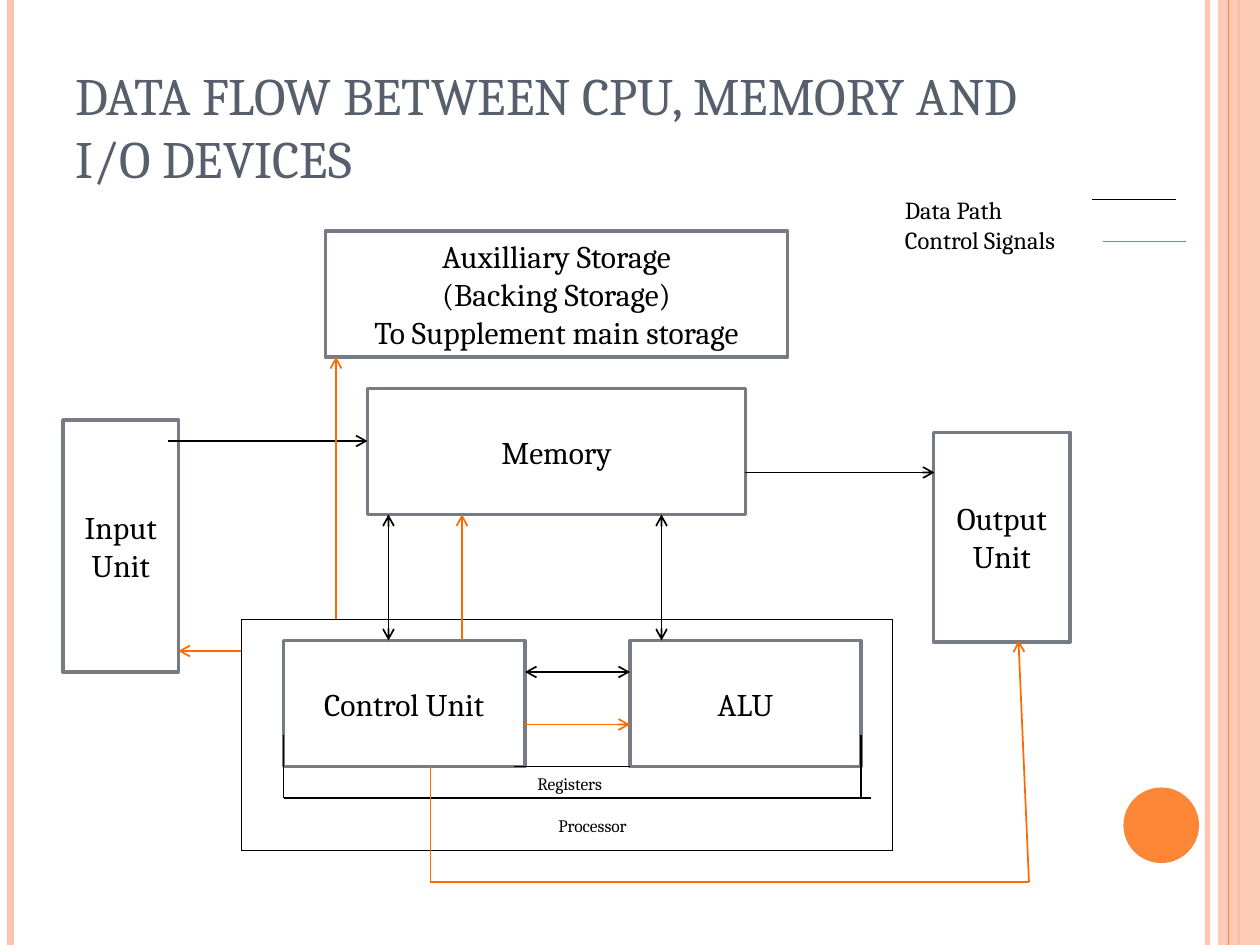
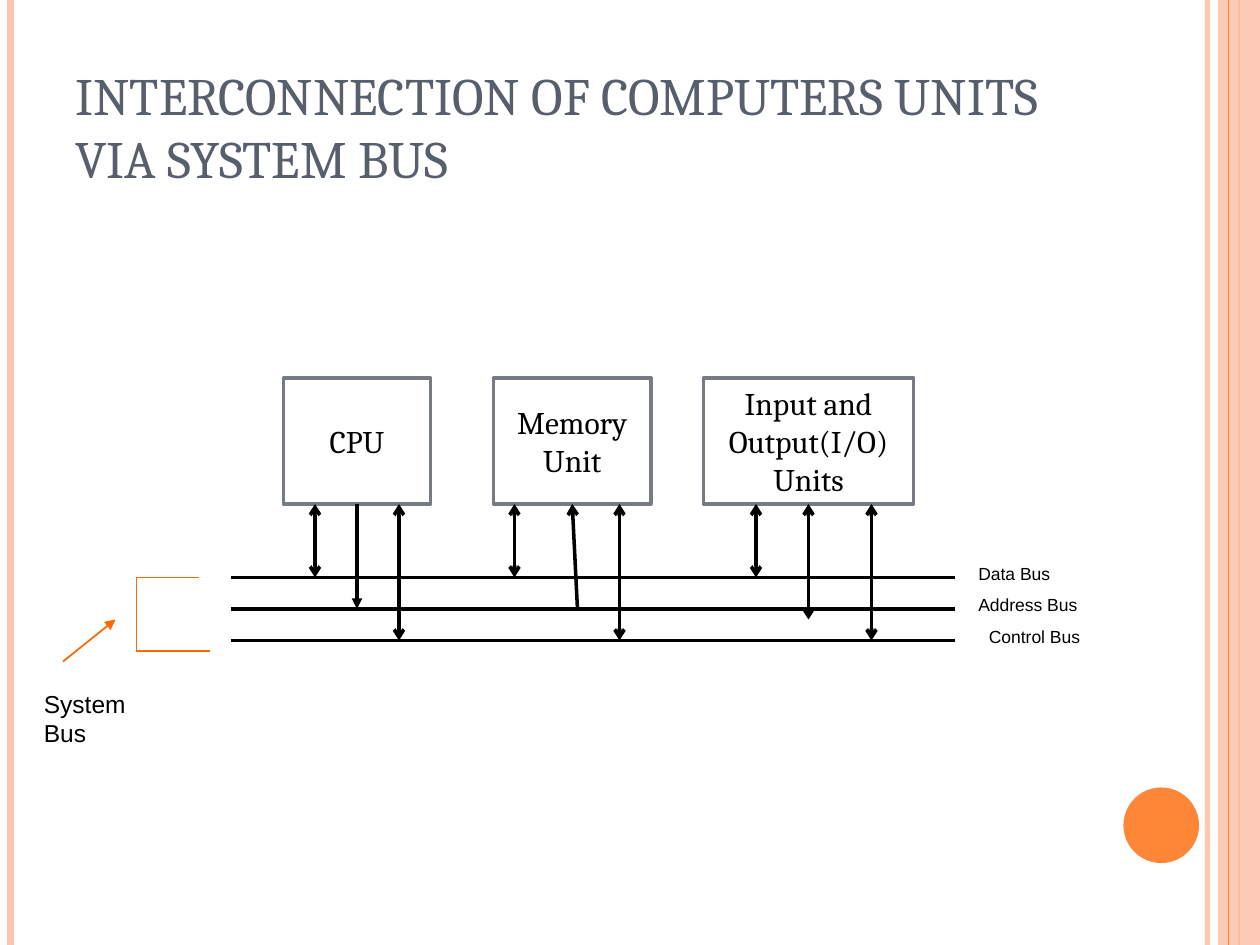
from itertools import pairwise

from lxml import etree
from pptx import Presentation
from pptx.dml.color import RGBColor
from pptx.enum import shapes, text
from pptx.oxml.ns import qn
from pptx.util import Pt

SERIF, SANS = "Cambria", "Arial"
BLACK, WHITE, SLATE, GREY = "000000", "FFFFFF", "575F6D", "777C84"
ORANGE, PEACH, SIGNAL = "FE8637", "FEC3AE", "FF6903"
WIDTH, HEIGHT = 720, 540


def paint(fmt, colour, alpha=None):
    """Give a fill a solid colour and, if asked, an opacity in percent."""
    fmt.solid()
    fmt.fore_color.rgb = RGBColor.from_string(colour)
    if alpha:
        clr = next(fmt._xPr.iter(qn("a:srgbClr")))
        etree.SubElement(clr, qn("a:alpha"), val=str(alpha * 1000))


def write(shape, words, size, font=SERIF, colour=BLACK, align=None,
          anchor=text.MSO_ANCHOR.TOP):
    tf = shape.text_frame
    tf.text = words
    tf.word_wrap = True
    tf.vertical_anchor = anchor
    for p in tf.paragraphs:
        p.alignment = align
        for r in p.runs:
            r.font.size = Pt(size)
            r.font.name = font
            r.font.color.rgb = RGBColor.from_string(colour)


def add_filled(s, kind, x, y, w, h, colour, alpha=None):
    sp = s.shapes.add_shape(kind, Pt(x), Pt(y), Pt(w), Pt(h))
    sp.shadow.inherit = False
    paint(sp.fill, colour, alpha)
    sp.line.fill.background()
    return sp


def add_unit(s, words, x, y, w, h):
    """Add a white box with a grey outline and a centred label."""
    sp = add_filled(s, shapes.MSO_SHAPE.RECTANGLE, x, y, w, h, WHITE)
    paint(sp.line.fill, GREY)
    sp.line.width = Pt(2)
    write(sp, words, 18, align=text.PP_ALIGN.CENTER,
          anchor=text.MSO_ANCHOR.MIDDLE)
    return sp


def add_label(s, words, x, y, w, h, size, font=SERIF):
    sp = s.shapes.add_textbox(Pt(x), Pt(y), Pt(w), Pt(h))
    write(sp, words, size, font)
    sp.text_frame.auto_size = text.MSO_AUTO_SIZE.SHAPE_TO_FIT_TEXT


def add_line(s, start, end, colour=BLACK, width=1, head=None, tail=None, alpha=None):
    """Draw a straight line; head is the arrowhead at its start, tail at its end."""
    line = s.shapes.add_connector(shapes.MSO_CONNECTOR.STRAIGHT,
                                  *(Pt(v) for v in (*start, *end)))
    paint(line.line.fill, colour, alpha)
    line.line.width = Pt(width)
    ln = line.line._get_or_add_ln()
    for tag, kind in (("a:headEnd", head), ("a:tailEnd", tail)):
        if kind:
            etree.SubElement(ln, qn(tag), type=kind)
    etree.SubElement(line._element.spPr, qn("a:effectLst"))
    return line


def add_path(s, points, colour=BLACK, tail=None):
    """Join points by straight lines, with an arrowhead on the last one."""
    legs = list(pairwise(points))
    for start, end in legs[:-1]:
        add_line(s, start, end, colour)
    add_line(s, *legs[-1], colour, tail=tail)


def add_two_way(s, start, end, width=1):
    return add_line(s, start, end, width=width, head="arrow", tail="arrow")


def new_slide(prs, title):
    """Add a slide with the side bands, the disc and the title."""
    s = prs.slides.add_slide(prs.slide_layouts[6])

    def rule(x, colour, width, alpha=None):
        add_line(s, (x, 0), (x, HEIGHT), colour, width, alpha=alpha)

    rule(690, PEACH, 3, 93)
    rule(6, PEACH, 4.5)
    rule(708, ORANGE, 1.5)
    add_filled(s, shapes.MSO_SHAPE.RECTANGLE, 696, 0, 24, HEIGHT, PEACH, 87)
    rule(702, ORANGE, 0.75)
    add_filled(s, shapes.MSO_SHAPE.OVAL, 642, 450, 43.2, 43.2, ORANGE)
    sp = s.shapes.add_textbox(Pt(36), Pt(21.6), Pt(588), Pt(90))
    write(sp, title, 30, colour=SLATE, anchor=text.MSO_ANCHOR.BOTTOM)
    return s


def build_data_flow(prs):
    s = new_slide(prs, "DATA FLOW BETWEEN CPU, MEMORY AND I/O DEVICES")
    for unit in (
        ("Auxilliary Storage\n(Backing Storage)\nTo Supplement main storage",
         186, 132, 264, 72),
        ("Memory", 210, 222, 216, 72),
        ("Input Unit", 36, 240, 66, 144),
        ("Control Unit", 162, 366, 138, 72),
        ("ALU", 360, 366, 132, 72),
        ("Output Unit", 533.5, 247, 78, 120),
    ):
        add_unit(s, *unit)

    # Data paths
    add_line(s, (96, 252), (210, 252), tail="arrow")
    add_line(s, (426, 270), (534, 270), tail="arrow")
    for x in (222, 378):
        add_two_way(s, (x, 294), (x, 366))
    add_two_way(s, (300, 384), (360, 384))

    # Processor outline and registers bracket
    add_path(s, [(138, 354), (138, 486), (510, 486), (510, 354), (138, 354)])
    add_path(s, [(162, 420), (162, 456), (498, 456)])
    add_line(s, (492, 420), (492, 456))
    add_line(s, (294, 438), (360, 438))
    add_label(s, "Registers", 300, 438, 72, 19.4, 10)
    add_label(s, "Processor", 312, 462, 72, 19.4, 10)

    # Control signals
    for points in (
        [(138, 372), (102, 372)],
        [(192, 354), (192, 204)],
        [(264, 366), (264, 294)],
        [(300, 414), (360, 414)],
        [(246, 438), (246, 504), (588, 504), (582, 366)],
    ):
        add_path(s, points, SIGNAL, tail="arrow")

    # Legend
    add_label(s, "Data Path\nControl Signals", 510, 108, 138, 41, 14)
    add_line(s, (624, 114), (672, 114))
    add_line(s, (630, 138), (678, 138), SIGNAL)


def build_system_bus(prs):
    s = new_slide(prs, "INTERCONNECTION OF COMPUTERS UNITS VIA SYSTEM BUS")
    top, unit_h = 216, 72
    bottom = top + unit_h
    data, address, control = (330 + 18 * i for i in range(3))
    cpu = add_unit(s, "CPU", 162, top, 84, unit_h)
    memory = add_unit(s, "Memory Unit", 282, top, 90, unit_h)
    io_units = add_unit(s, "Input and Output(I/O) Units", 402, top, 120, unit_h)

    for bus in (data, address, control):
        add_line(s, (132, bus), (546, bus), width=2)
    for x_data, x_control in ((180, 228), (294, 354), (432, 498)):
        add_two_way(s, (x_data, bottom), (x_data, data), 2)
        add_two_way(s, (x_control, bottom), (x_control, control), 2)

    # Address links leave from the middle of each unit
    link = add_line(s, (204, bottom), (204, address), width=2, tail="triangle")
    link.begin_connect(cpu, 2)
    link = add_line(s, (330, address), (327, bottom), width=2, tail="arrow")
    link.end_connect(memory, 2)
    link = add_two_way(s, (462, bottom), (462, 354), 2)
    link.begin_connect(io_units, 2)

    for words, x, bus in (("Data Bus", 552, data), ("Address Bus", 552, address),
                          ("Control Bus", 558, control)):
        add_label(s, words, x, bus - 12, 120, 19.4, 10, SANS)

    add_path(s, [(114, 330), (78, 330), (78, 372), (120, 372)], SIGNAL)
    add_line(s, (36, 378), (66, 354), SIGNAL, tail="triangle")
    add_label(s, "System Bus", 18, 390, 78, 41, 14, SANS)


def main():
    prs = Presentation()
    prs.slide_width, prs.slide_height = Pt(WIDTH), Pt(HEIGHT)
    build_data_flow(prs)
    build_system_bus(prs)
    prs.save("out.pptx")


if __name__ == "__main__":
    main()
